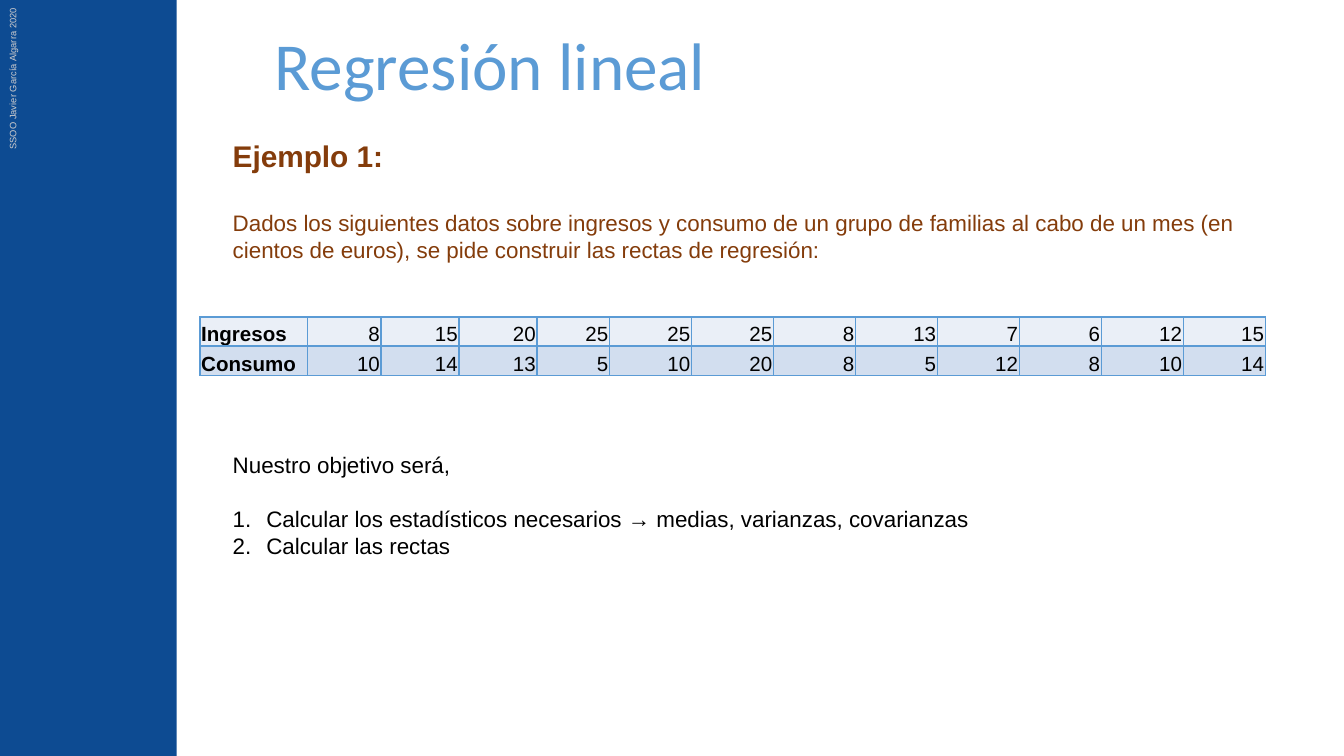
from lxml.etree import SubElement
from pptx import Presentation
from pptx.dml.color import RGBColor
from pptx.enum.shapes import MSO_SHAPE
from pptx.enum.text import MSO_ANCHOR, PP_ALIGN
from pptx.oxml.ns import qn
from pptx.util import Inches, Pt

WIDTH = Inches(10)
HEIGHT = WIDTH * 9 // 16
COL, ROW = WIDTH / 100, HEIGHT / 100
COLORS = {
    "bar": "0D4B92", "credit": "D0CECE", "title": "5B9BD5", "brown": "843C0B",
    "black": "000000", "light": "EAEFF7", "dark": "D2DEEF", "border": "5B9BD5",
}
DATA = [
    ("Ingresos", 8, 15, 20, 25, 25, 25, 8, 13, 7, 6, 12, 15),
    ("Consumo", 10, 14, 13, 5, 10, 20, 8, 5, 12, 8, 10, 14),
]
SHARES = [0.8, 0.55, 0.58, 0.58, 0.54] + [0.61] * 8
BODY = [
    ("Ejemplo 1:", 16, "brown", True, 19, False),
    ("Dados los siguientes datos sobre ingresos y consumo de un grupo de familias "
     "al cabo de un mes (en cientos de euros), se pide construir las rectas de "
     "regresión:", 12, "brown", False, 100.8, False),
    ("Nuestro objetivo será,", 12, "black", False, 14.4, False),
    ("Calcular los estadísticos necesarios → medias, varianzas, covarianzas",
     12, "black", False, 0, True),
    ("Calcular las rectas", 12, "black", False, 0, True),
]


def color(name):
    return RGBColor.from_string(COLORS[name])


def scale(box):
    left, top, width, height = box
    return int(left * COL), int(top * ROW), int(width * COL), int(height * ROW)


def style(para, size, tint, bold=False, face="Arial"):
    for run in para.runs:
        font = run.font
        font.name, font.size, font.bold = face, Pt(size), bold
        font.color.rgb = color(tint)


def add_text(slide, box):
    shape = slide.shapes.add_textbox(*scale(box))
    shape.text_frame.word_wrap = True
    return shape


def add_side(slide, box):
    left, top, width, height = box
    bar = slide.shapes.add_shape(MSO_SHAPE.RECTANGLE, *scale(box))
    bar.shadow.inherit = False
    bar.fill.solid()
    bar.fill.fore_color.rgb = color("bar")
    bar.line.fill.background()
    credit = add_text(slide, (left - width / 2, top + height * 0.064,
                              width * 1.15, height * 0.034))
    credit.rotation = 270
    credit.text_frame.text = "SSOO Javier García Algarra 2020"
    style(credit.text_frame.paragraphs[0], 5, "credit")


def add_title(slide, box):
    frame = add_text(slide, box).text_frame
    frame.vertical_anchor = MSO_ANCHOR.BOTTOM
    frame.text = "Regresión lineal"
    para = frame.paragraphs[0]
    para.line_spacing = 0.9
    style(para, 36, "title", face="Calibri")


def add_number(para):
    props = para._p.get_or_add_pPr()
    props.set("marL", str(Inches(0.25)))
    props.set("indent", str(-Inches(0.25)))
    SubElement(props, qn("a:buFont"), typeface="+mj-lt")
    SubElement(props, qn("a:buAutoNum"), type="arabicPeriod")


def add_body(slide, box):
    frame = add_text(slide, box).text_frame
    frame.text = "\n".join(item[0] for item in BODY)
    for para, (_, size, tint, bold, gap, listed) in zip(frame.paragraphs, BODY):
        para.space_after = Pt(gap)
        style(para, size, tint, bold)
        if listed:
            add_number(para)


def add_border(cell):
    props = cell._tc.get_or_add_tcPr()
    for side in ("lnL", "lnR", "lnT", "lnB"):
        line = SubElement(props, qn(f"a:{side}"), w=str(Pt(1)))
        fill = SubElement(line, qn("a:solidFill"))
        SubElement(fill, qn("a:srgbClr"), val=COLORS["border"])


def fill_cell(cell, value, tint, head):
    add_border(cell)
    cell.fill.solid()
    cell.fill.fore_color.rgb = color(tint)
    cell.vertical_anchor = MSO_ANCHOR.BOTTOM
    cell.margin_left = cell.margin_right = cell.margin_top = Inches(0.01)
    cell.margin_bottom = 0
    cell.text_frame.text = str(value)
    para = cell.text_frame.paragraphs[0]
    para.alignment = PP_ALIGN.LEFT if head else PP_ALIGN.RIGHT
    style(para, 11, "black", head)


def add_data(slide, box):
    left, top, width, height = scale(box)
    table = slide.shapes.add_table(len(DATA), len(SHARES), left, top, width, height).table
    for column, share in zip(table.columns, SHARES):
        column.width = int(width * share / sum(SHARES))
    for r, (values, tint) in enumerate(zip(DATA, ("light", "dark"))):
        for c, value in enumerate(values):
            fill_cell(table.cell(r, c), value, tint, c == 0)


def main():
    deck = Presentation()
    deck.slide_width, deck.slide_height = WIDTH, HEIGHT
    slide = deck.slides.add_slide(deck.slide_layouts[6])
    add_side(slide, (0, 0, 13.15, 100))
    add_title(slide, (19.45, 4.45, 77.1, 10.3))
    add_body(slide, (16.33, 17.4, 80.2, 76))
    add_data(slide, (14.87, 41.95, 79.3, 7.7))
    deck.save("out.pptx")


if __name__ == "__main__":
    main()
